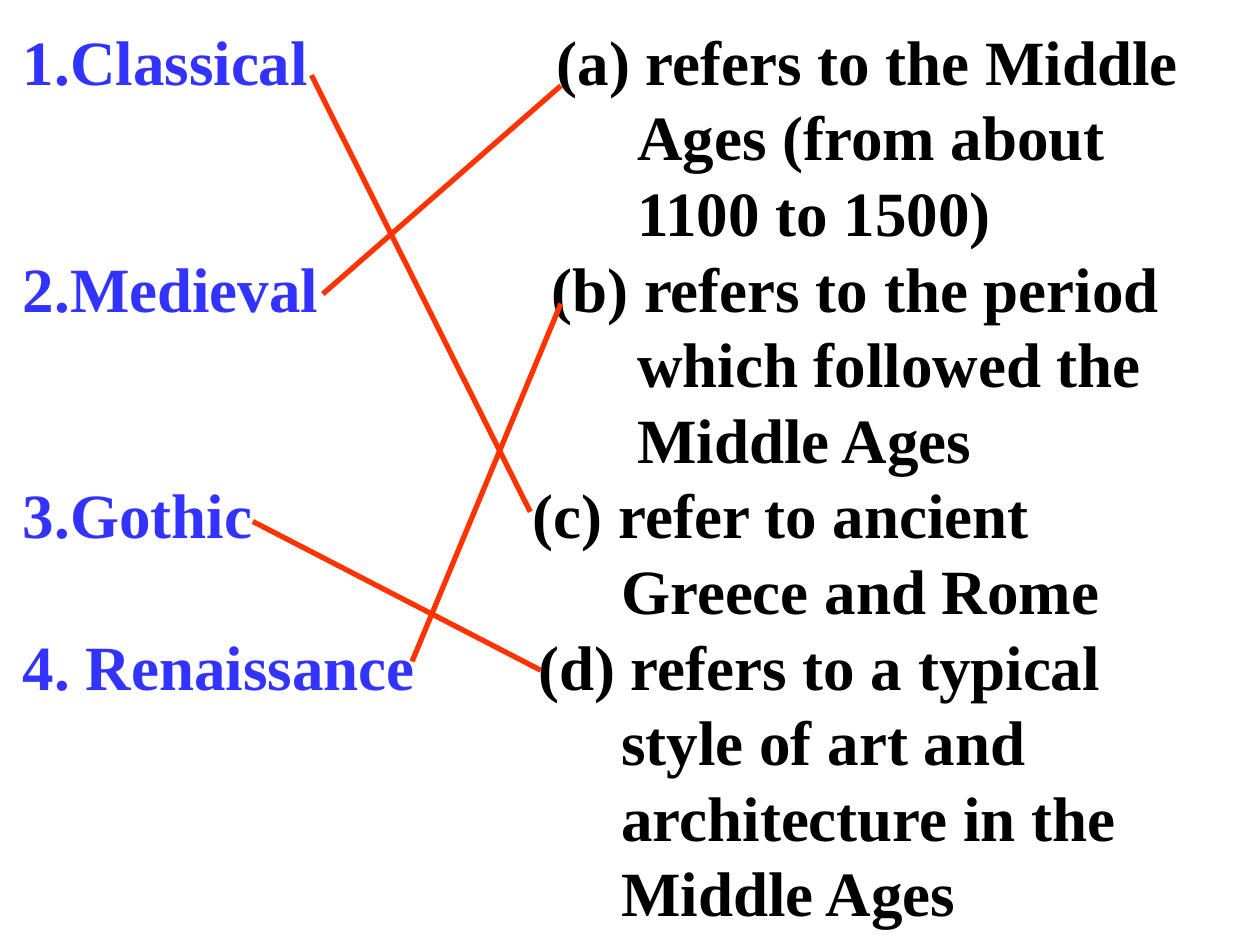
from pptx import Presentation
from pptx import util as u
from pptx.dml.color import RGBColor
from pptx.enum import shapes, text
from pptx.oxml.ns import qn
from lxml import etree

COLORS = {"term": "3333FF", "definition": "000000", "match": "FF3300"}

ENTRIES = [
    ("1.Classical", 305, 351,
     ["(a) refers to the Middle", "Ages (from about", "1100 to 1500)"]),
    ("2.Medieval", 302, 351,
     ["(b) refers to the period", "which followed the", "Middle Ages"]),
    ("3.Gothic", 291.5, 342,
     ["(c) refer to ancient", "Greece and Rome"]),
    ("4. Renaissance", 294.5, 342,
     ["(d) refers to a typical", "style of art and", "architecture in the", "Middle Ages"]),
]

MATCHES = [
    ((178, 43), (303, 292.5)),
    ((184.5, 168), (320.5, 49)),
    ((144.5, 298), (309, 383)),
    ((235.5, 378), (320.5, 173.5)),
]


class MatchingSlide:
    """Holds the style and the current slide of a matching exercise."""

    def __init__(self, presentation, font="Times New Roman", size=36, line_width=3):
        self.slide = presentation.slides.add_slide(presentation.slide_layouts[6])
        self.font, self.size, self.line_width = font, size, line_width

    def color(self, name):
        return RGBColor.from_string(COLORS[name])

    def text_box(self, left, top, width, height):
        shape = self.slide.shapes.add_textbox(*map(u.Pt, (left, top, width, height)))
        frame = shape.text_frame
        frame.word_wrap = True
        frame.auto_size = text.MSO_AUTO_SIZE.SHAPE_TO_FIT_TEXT
        return frame

    def paragraph(self, frame, runs, indent=None, tab=None):
        first = frame.paragraphs[0]
        paragraph = frame.add_paragraph() if first.runs else first
        properties = paragraph._p.get_or_add_pPr()
        if indent:
            properties.set("marL", str(u.Pt(indent)))
            properties.set("indent", "0")
        if tab:
            tabs = etree.SubElement(properties, qn("a:tabLst"))
            etree.SubElement(tabs, qn("a:tab"), pos=str(u.Pt(tab)), algn="l")
        paragraph.font.name = self.font
        paragraph.font.size = u.Pt(self.size)
        paragraph.font.bold = True
        for words, color in runs:
            run = paragraph.add_run()
            run.text = words
            run.font.color.rgb = self.color(color)

    def entry(self, frame, term, tab, indent, lines):
        first, *rest = lines
        self.paragraph(frame, [(term + "\t", "term"), (first, "definition")], tab=tab)
        for line in rest:
            self.paragraph(frame, [(line, "definition")], indent=indent)

    def match(self, start, end):
        connector = self.slide.shapes.add_connector(
            shapes.MSO_CONNECTOR.STRAIGHT, *map(u.Pt, start + end))
        connector.line.color.rgb = self.color("match")
        connector.line.width = u.Pt(self.line_width)
        etree.SubElement(connector._element.spPr, qn("a:effectLst"))


def main():
    presentation = Presentation()
    presentation.slide_width, presentation.slide_height = u.Pt(720), u.Pt(540)
    exercise = MatchingSlide(presentation)
    frame = exercise.text_box(6, 9.25, 700, 612)
    for entry in ENTRIES:
        exercise.entry(frame, *entry)
    for start, end in MATCHES:
        exercise.match(start, end)
    presentation.save("out.pptx")


if __name__ == "__main__":
    main()
